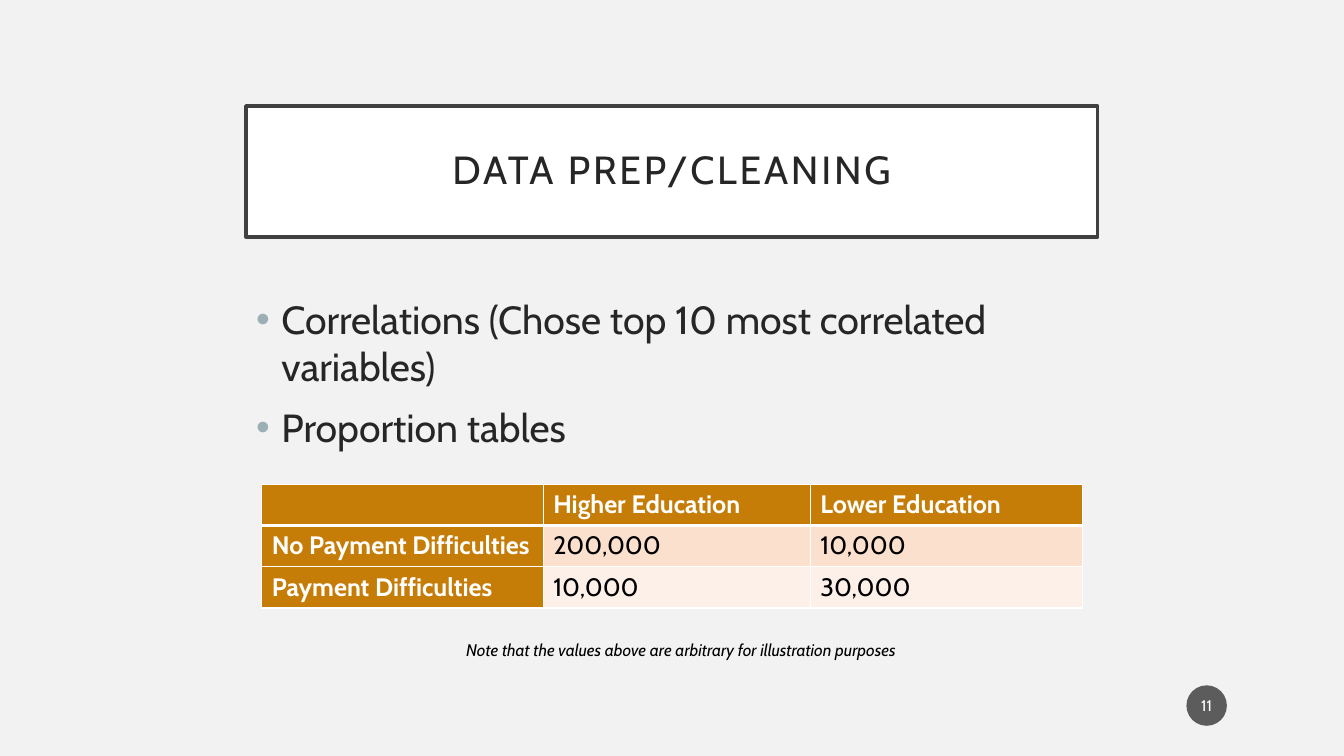
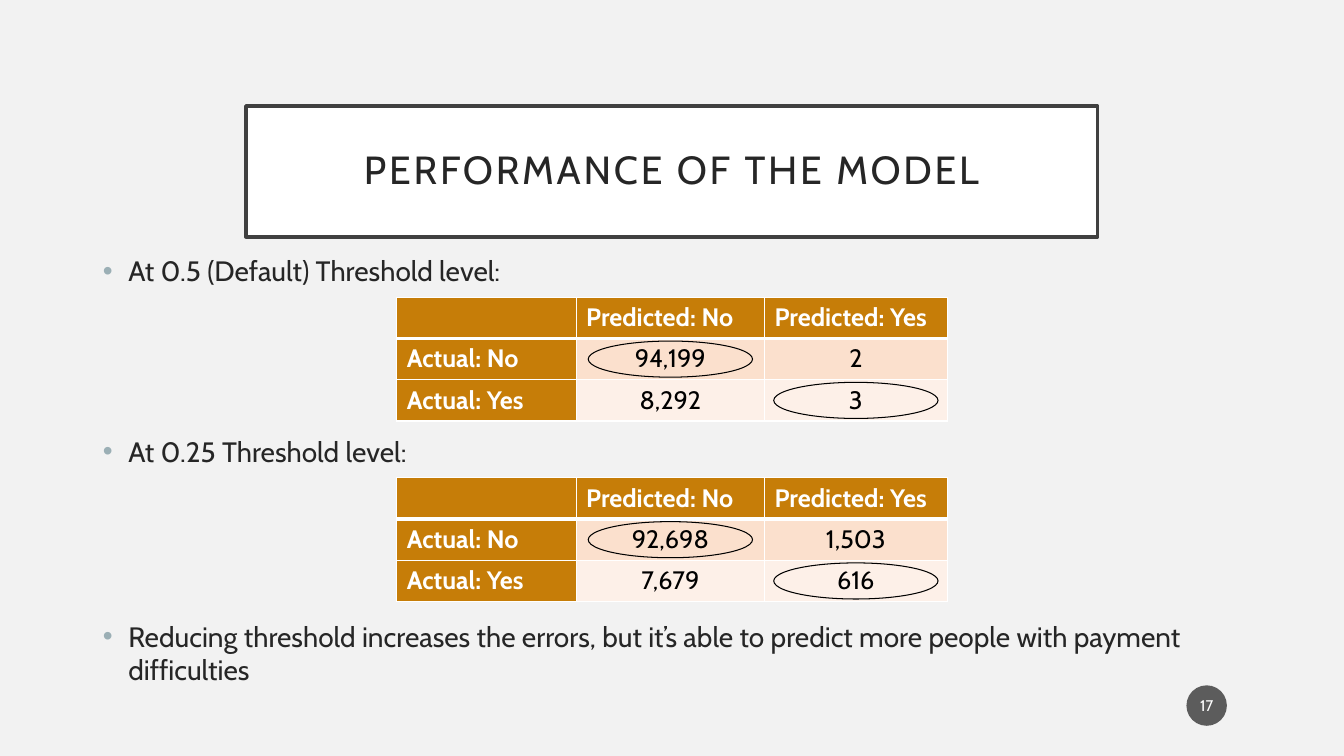
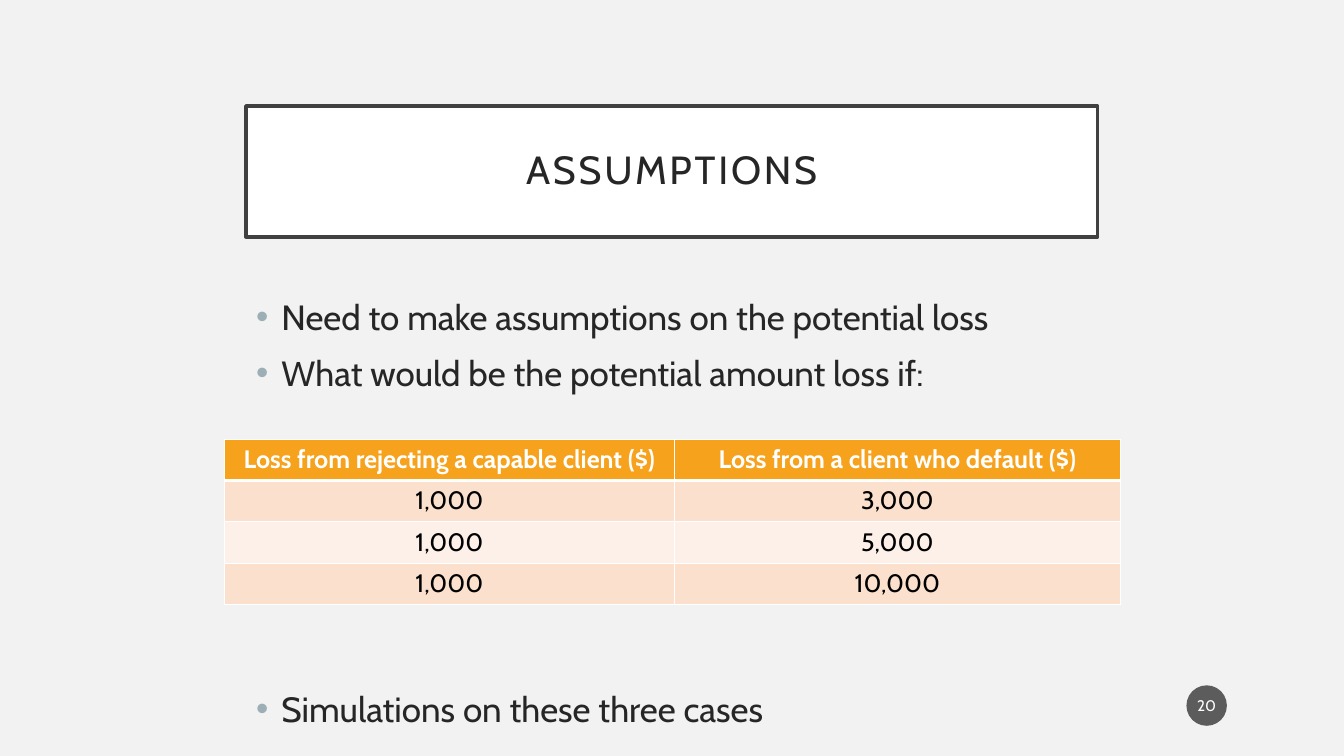
from lxml.etree import SubElement
from pptx import Presentation
from pptx.dml.color import RGBColor
from pptx.enum.shapes import MSO_SHAPE as Shape
from pptx.enum.text import MSO_ANCHOR as Anchor, MSO_AUTO_SIZE as AutoSize, PP_ALIGN as Align
from pptx.oxml.ns import qn
from pptx.util import Cm, Pt

BACKGROUND = RGBColor(0xF2, 0xF2, 0xF2)
WHITE = RGBColor(0xFF, 0xFF, 0xFF)
BLACK = RGBColor(0x00, 0x00, 0x00)
INK = RGBColor(0x26, 0x26, 0x26)
FRAME = RGBColor(0x40, 0x40, 0x40)
BADGE = RGBColor(0x1D, 0x1D, 0x1D)
BULLET = RGBColor(0x9B, 0xAF, 0xB5)
OCHRE = RGBColor(0xC6, 0x7D, 0x08)
ORANGE = RGBColor(0xF6, 0xA2, 0x1D)
BANDS = (RGBColor(0xFB, 0xE0, 0xCD), RGBColor(0xFD, 0xF0, 0xE8))

FONT = "Cabin"
ROW_HEIGHT = Cm(1.04)
TITLE_FRAME = {"left": Cm(6.2), "top": Cm(2.67), "width": Cm(21.46), "height": Cm(3.3)}
TITLE_TEXT = {"vertical_anchor": Anchor.MIDDLE, "auto_size": AutoSize.NONE, "word_wrap": True,
              "margin_left": Cm(0.5), "margin_right": Cm(0.5),
              "margin_top": Cm(0.5), "margin_bottom": Cm(0.5)}
BODY_TEXT = {"vertical_anchor": Anchor.TOP, "auto_size": AutoSize.NONE, "word_wrap": True}
BADGE_TEXT = {"vertical_anchor": Anchor.MIDDLE, "word_wrap": False,
              "margin_left": Cm(0.05), "margin_right": Cm(0.05)}


def apply(target, values):
    for name, value in values.items():
        setattr(target, name, value)


def write(paragraph, text, size, color, **values):
    run = paragraph.add_run()
    run.text = text
    apply(run.font, {"name": FONT, "size": Pt(size), **values})
    run.font.color.rgb = color
    return run


def add_solid(parent, color):
    solid = SubElement(parent, qn("a:solidFill"))
    SubElement(solid, qn("a:srgbClr"), val=str(color))


def add_title(slide, text):
    title = slide.shapes.title
    apply(title, TITLE_FRAME)
    title.fill.solid()
    title.fill.fore_color.rgb = WHITE
    title.line.color.rgb = FRAME
    title.line.width = Pt(2.5)
    apply(title.text_frame, TITLE_TEXT)
    paragraph = title.text_frame.paragraphs[0]
    apply(paragraph, {"alignment": Align.CENTER, "line_spacing": 0.9})
    run = write(paragraph, text, 28, INK)
    run.font._element.set("spc", "200")


def add_bullets(slide, frame, size, items):
    body = slide.placeholders[1]
    apply(body, dict(zip(("left", "top", "width", "height"), map(Cm, frame))))
    apply(body.text_frame, BODY_TEXT)
    for index, (text, gap) in enumerate(items):
        paragraph = body.text_frame.add_paragraph() if index else body.text_frame.paragraphs[0]
        apply(paragraph, {"space_before": Pt(gap), "line_spacing": 1.0})
        properties = paragraph._p.get_or_add_pPr()
        properties.set("marL", str(Cm(0.64)))
        properties.set("indent", str(-Cm(0.64)))
        color = SubElement(properties, qn("a:buClr"))
        SubElement(color, qn("a:srgbClr"), val=str(BULLET))
        SubElement(properties, qn("a:buFont"), typeface="Arial")
        SubElement(properties, qn("a:buChar"), char="•")
        write(paragraph, text, size, INK)


def add_borders(cell, row):
    properties = cell._tc.get_or_add_tcPr()
    widths = {"L": 1, "R": 1, "T": 3 if row == 1 else 1, "B": 3 if row == 0 else 1}
    for side, width in widths.items():
        add_solid(SubElement(properties, qn(f"a:ln{side}"), w=str(Pt(width))), WHITE)


def add_grid(slide, left, top, widths, rows, accent=OCHRE, row_headings=True,
             header_align=Align.LEFT, value_align=Align.CENTER):
    frame = slide.shapes.add_table(len(rows), len(widths), Cm(left), Cm(top),
                                   Cm(sum(widths)), ROW_HEIGHT * len(rows))
    table = frame.table
    apply(table, {"horz_banding": False, "first_col": row_headings})
    for column, width in zip(table.columns, widths):
        column.width = Cm(width)
    for row_index, values in enumerate(rows):
        table.rows[row_index].height = ROW_HEIGHT
        for column_index, text in enumerate(values):
            cell = table.cell(row_index, column_index)
            heading = row_index == 0 or (row_headings and column_index == 0)
            add_borders(cell, row_index)
            cell.fill.solid()
            cell.fill.fore_color.rgb = accent if heading else BANDS[(row_index - 1) % 2]
            paragraph = cell.text_frame.paragraphs[0]
            paragraph.alignment = header_align if heading else value_align
            if text:
                write(paragraph, text, 18, WHITE if heading else BLACK, bold=heading)
    return frame


def add_ellipse(slide, left, top, width, height):
    ellipse = slide.shapes.add_shape(Shape.OVAL, left, top, width, height)
    ellipse.shadow.inherit = False
    return ellipse


def circle_diagonal(slide, frame):
    columns = frame.table.columns
    width, height = Cm(4.14), Cm(0.91)
    for index in (1, 2):
        cell_left = frame.left + sum(columns[i].width for i in range(index))
        left = cell_left + (columns[index].width - width) // 2
        top = frame.top + ROW_HEIGHT * index + (ROW_HEIGHT - height) // 2
        ellipse = add_ellipse(slide, left, top, width, height)
        ellipse.fill.background()
        ellipse.line.color.rgb = BLACK
        ellipse.line.width = Pt(0.75)


def add_badge(slide, number):
    badge = add_ellipse(slide, Cm(29.9), Cm(17.27), Cm(1.02), Cm(1.02))
    badge.fill.solid()
    badge.fill.fore_color.rgb = BADGE
    color = badge.fill._xPr.find(qn("a:solidFill")).find(qn("a:srgbClr"))
    SubElement(color, qn("a:alpha"), val="70000")
    badge.line.fill.background()
    apply(badge.text_frame, BADGE_TEXT)
    paragraph = badge.text_frame.paragraphs[0]
    paragraph.alignment = Align.CENTER
    write(paragraph, str(number), 11, WHITE)


def add_note(slide, text):
    box = slide.shapes.add_textbox(Cm(11.5), Cm(16), Cm(15.52), Cm(0.77))
    box.text_frame.word_wrap = True
    write(box.text_frame.paragraphs[0], text, 12, BLACK, italic=True)


def add_slide(presentation, title, number):
    slide = presentation.slides.add_slide(presentation.slide_layouts[1])
    add_title(slide, title)
    add_badge(slide, number)
    return slide


def build_preparation(presentation):
    slide = add_slide(presentation, "DATA PREP/CLEANING", 11)
    add_bullets(slide, (6.2, 7.32, 22.12, 9.75), 28, [
        ("Correlations (Chose top 10 most correlated variables)", 10),
        ("Proportion tables", 10)])
    add_grid(slide, 6.6, 12.2, (7.09, 6.73, 6.85), [
        ("", "Higher Education", "Lower Education"),
        ("No Payment Difficulties", "200,000", "10,000"),
        ("Payment Difficulties", "10,000", "30,000")], value_align=Align.LEFT)
    add_note(slide, "Note that the values above are arbitrary for illustration purposes")


def build_performance(presentation):
    slide = add_slide(presentation, "PERFORMANCE OF THE MODEL", 17)
    add_bullets(slide, (2.34, 6.27, 29.21, 15.16), 20, [
        ("At 0.5 (Default) Threshold level:", 10),
        ("At 0.25 Threshold level:", 105),
        ("Reducing threshold increases the errors, but it’s able to predict "
         "more people with payment difficulties", 108)])
    results = [(7.49, ("94,199", "2"), ("8,292", "3")),
               (12.04, ("92,698", "1,503"), ("7,679", "616"))]
    for top, actual_no, actual_yes in results:
        frame = add_grid(slide, 10, top, (4.52, 4.75, 4.6), [
            ("", "Predicted: No", "Predicted: Yes"),
            ("Actual: No", *actual_no),
            ("Actual: Yes", *actual_yes)])
        circle_diagonal(slide, frame)


def build_assumptions(presentation):
    slide = add_slide(presentation, "ASSUMPTIONS", 20)
    add_bullets(slide, (6.2, 7.32, 21.46, 8.61), 25, [
        ("Need to make assumptions on the potential loss", 10),
        ("What would be the potential amount loss if:", 10),
        ("Simulations on these three cases", 210)])
    add_grid(slide, 5.65, 11.07, (11.35, 11.23), [
        ("Loss from rejecting a capable client ($)", "Loss from a client who default ($)"),
        ("1,000", "3,000"),
        ("1,000", "5,000"),
        ("1,000", "10,000")], accent=ORANGE, row_headings=False, header_align=Align.CENTER)


def main():
    presentation = Presentation()
    apply(presentation, {"slide_width": Cm(33.87), "slide_height": Cm(19.05)})
    background = presentation.slide_master.background.fill
    background.solid()
    background.fore_color.rgb = BACKGROUND
    build_preparation(presentation)
    build_performance(presentation)
    build_assumptions(presentation)
    presentation.save("out.pptx")


if __name__ == "__main__":
    main()
